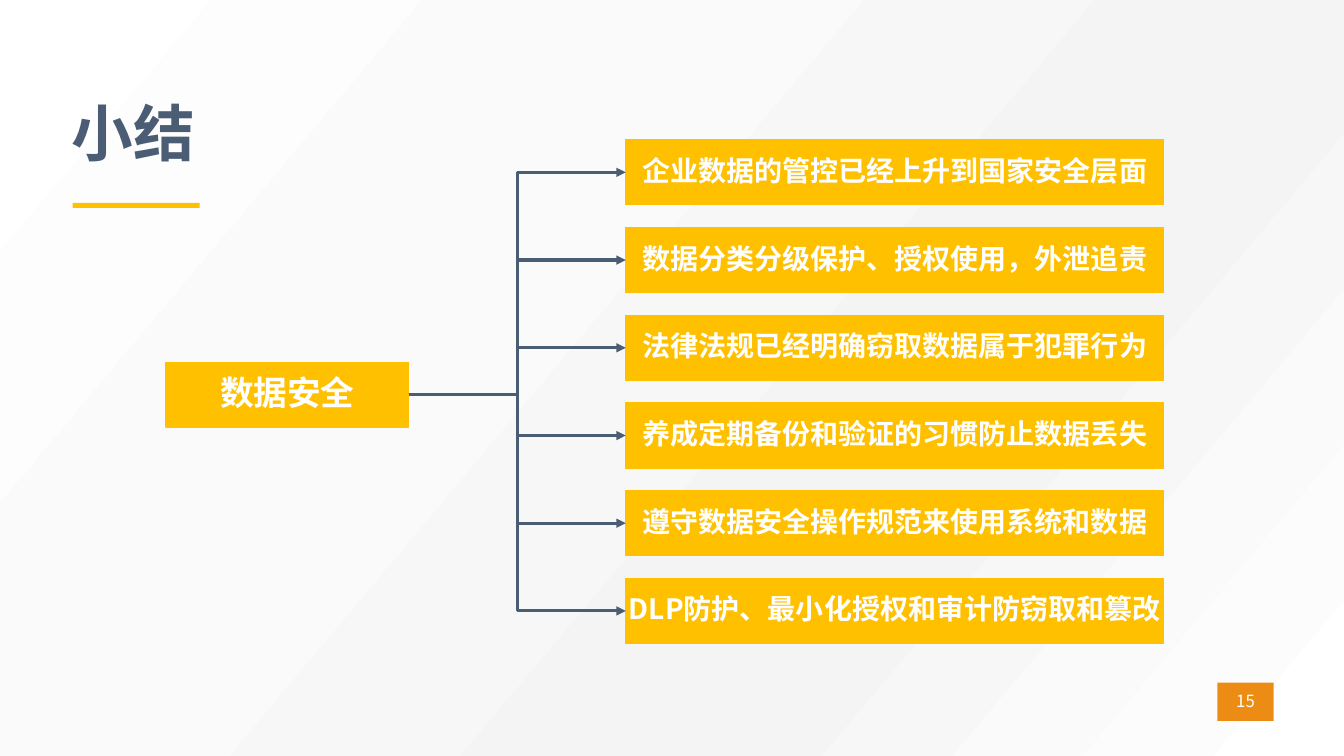
"""Build the summary slide: one topic branching into six points."""
from copy import deepcopy

from pptx import Presentation
from pptx.dml.color import RGBColor
from pptx.enum import shapes, text
from pptx.oxml import ns, xmlchemy as xml
from pptx.util import Cm, Pt

FONT = "Noto Sans CJK SC"
WHITE = RGBColor(0xFF, 0xFF, 0xFF)
PALE = RGBColor(0xFA, 0xFA, 0xFA)
GREY = RGBColor(0xF4, 0xF4, 0xF4)
GOLD = RGBColor(0xFF, 0xC0, 0x00)
ORANGE = RGBColor(0xED, 0x8C, 0x14)
SLATE = RGBColor(0x4B, 0x5D, 0x75)

STOPS = [(0, WHITE), (0.32, PALE), (0.67, GREY), (1, WHITE)]
POINTS = [
    "企业数据的管控已经上升到国家安全层面",
    "数据分类分级保护、授权使用，外泄追责",
    "法律法规已经明确窃取数据属于犯罪行为",
    "养成定期备份和验证的习惯防止数据丢失",
    "遵守数据安全操作规范来使用系统和数据",
    "DLP防护、最小化授权和审计防窃取和篡改",
]
TOP, STEP, HIGH = 3.53, 2.21, 1.63


def assign(item, values):
    """Set each attribute of item from a dict."""
    for key, value in values.items():
        setattr(item, key, value)


def child(parent, tag, **values):
    """Append an XML element with attributes to parent."""
    node = xml.OxmlElement(tag)
    for key, value in values.items():
        node.set(key, value)
    parent.append(node)


def place(shape, left, top, width, height):
    """Move and size a shape in centimetres."""
    assign(shape, {"left": Cm(left), "top": Cm(top),
                   "width": Cm(width), "height": Cm(height)})


def write(shape, words, size, color=WHITE, bold=True, align="CENTER"):
    """Put one formatted line of text in a shape."""
    frame = shape.text_frame
    assign(frame, {"word_wrap": True, "auto_size": text.MSO_AUTO_SIZE.NONE,
                   "vertical_anchor": text.MSO_ANCHOR.MIDDLE})
    para = frame.paragraphs[0]
    assign(para, {"alignment": getattr(text.PP_ALIGN, align), "line_spacing": 0.9})
    run = para.add_run()
    run.text = words
    assign(run.font, {"name": FONT, "size": Pt(size), "bold": bold})
    run.font.color.rgb = color
    child(run.font._element, "a:ea", typeface=FONT)


def add_bar(slide, left, top, width, height, color=GOLD):
    """Add a plain filled rectangle."""
    bar = slide.shapes.add_shape(shapes.MSO_SHAPE.RECTANGLE, 0, 0, 0, 0)
    place(bar, left, top, width, height)
    bar.shadow.inherit = False
    bar.fill.solid()
    bar.fill.fore_color.rgb = color
    bar.line.fill.background()
    return bar


def add_box(slide, words, size, *spot):
    """Add a gold box with tight margins and bold text."""
    box = add_bar(slide, *spot)
    box.line.color.rgb = GOLD
    box.line.width = Pt(1)
    for side in ("left", "right", "top", "bottom"):
        setattr(box.text_frame, f"margin_{side}", Cm(0.03))
    write(box, words, size)
    return box


def add_link(slide, start, end):
    """Add an elbow arrow from the right of start to the left of end."""
    link = slide.shapes.add_connector(
        shapes.MSO_CONNECTOR.ELBOW,
        start.left + start.width, start.top + start.height // 2,
        end.left, end.top + end.height // 2)
    link.begin_connect(start, 3)
    link.end_connect(end, 1)
    link.line.color.rgb = SLATE
    link.line.width = Pt(2.25)
    child(link.line._get_or_add_ln(), "a:tailEnd", type="triangle")
    child(link._element.spPr, "a:effectLst")


def paint(slide):
    """Give the slide its diagonal gradient background."""
    fill = slide.background.fill
    fill.gradient()
    fill.gradient_angle = 320
    group = slide._element.find(".//" + ns.qn("a:gsLst"))
    for stop in list(group):
        group.append(deepcopy(stop))
    for stop, (spot, color) in zip(fill.gradient_stops, STOPS):
        stop.position = spot
        stop.color.rgb = color


def main():
    """Create the slide and save it."""
    deck = Presentation()
    assign(deck, {"slide_width": Cm(33.87), "slide_height": Cm(19.05)})
    slide = deck.slides.add_slide(deck.slide_layouts[5])
    paint(slide)
    title = slide.shapes.title
    place(title, 1.55, 2.34, 30.4, 2.18)
    write(title, "小结", 44, SLATE, align="LEFT")
    add_bar(slide, 1.83, 5.11, 3.2, 0.13)
    badge = add_bar(slide, 30.68, 17.2, 1.42, 0.97, ORANGE)
    write(badge, "15", 12, bold=False)
    topic = add_box(slide, "数据安全", 24, 4.18, 9.13, 6.12, HIGH)
    for row, words in enumerate(POINTS):
        point = add_box(slide, words, 20, 15.77, TOP + row * STEP, 13.56, HIGH)
        add_link(slide, topic, point)
    deck.save("out.pptx")


if __name__ == "__main__":
    main()
